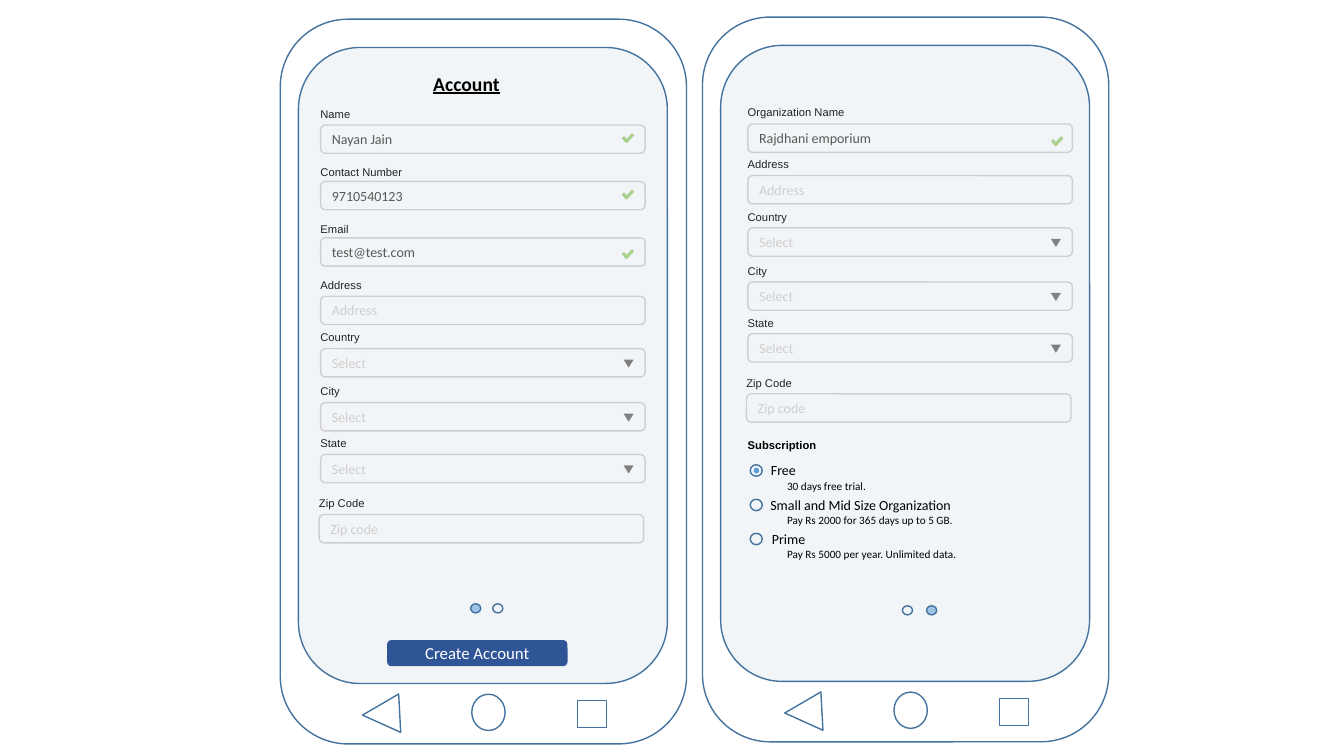
from dataclasses import dataclass

from lxml import etree
from pptx import Presentation
from pptx.dml.color import RGBColor
from pptx.enum.shapes import MSO_CONNECTOR, MSO_SHAPE
from pptx.enum.text import MSO_ANCHOR, MSO_AUTO_SIZE, PP_ALIGN
from pptx.oxml.ns import qn
from pptx.util import Pt

OVAL, RECT, ROUND = MSO_SHAPE.OVAL, MSO_SHAPE.RECTANGLE, MSO_SHAPE.ROUNDED_RECTANGLE
MERGE, RADIO = MSO_SHAPE.FLOWCHART_MERGE, MSO_SHAPE.FLOWCHART_CONNECTOR
TRIANGLE = MSO_SHAPE.ISOSCELES_TRIANGLE
STRAIGHT = MSO_CONNECTOR.STRAIGHT
MIDDLE, TOP = MSO_ANCHOR.MIDDLE, MSO_ANCHOR.TOP
LEFT, CENTER = PP_ALIGN.LEFT, PP_ALIGN.CENTER
FIT = MSO_AUTO_SIZE.SHAPE_TO_FIT_TEXT


@dataclass(frozen=True)
class Theme:
    edge: str = "43739E"
    screen: str = "F2F5F7"
    border: str = "D0CECE"
    entry: str = "595959"
    label: str = "222222"
    black: str = "000000"
    white: str = "FFFFFF"
    button: str = "2F5597"
    tick: str = "A9D18E"
    arrow: str = "808080"
    radio: str = "5B9BD5"
    dot: str = "9DC3E6"
    head: str = "Arial"
    body: str = "Calibri"
    small: int = 8
    text: int = 10
    action: int = 12
    title: int = 14


class Mockup:
    def __init__(self, slide, theme):
        self.slide = slide
        self.theme = theme

    def shape(self, kind, x, y, w, h, fill=None, line=None, turn=0):
        item = self.slide.shapes.add_shape(kind, Pt(x), Pt(y), Pt(w), Pt(h))
        item.shadow.inherit = False
        item.rotation = turn
        if fill:
            item.fill.solid()
            item.fill.fore_color.rgb = RGBColor.from_string(fill)
        else:
            item.fill.background()
        if line:
            item.line.color.rgb = RGBColor.from_string(line)
            item.line.width = Pt(1)
        else:
            item.line.fill.background()
        return item

    def letter(self, item, text, size, color, face=None, align=LEFT, anchor=MIDDLE):
        """Put one styled line of text into a shape and return its font."""
        frame = item.text_frame
        frame.text = text
        frame.vertical_anchor = anchor
        para = frame.paragraphs[0]
        para.alignment = align
        font = para.runs[0].font
        font.name = face or self.theme.body
        font.size = Pt(size)
        font.color.rgb = RGBColor.from_string(color)
        return font

    def label(self, text, x, y, w, h, size, color, face=None):
        box = self.slide.shapes.add_textbox(Pt(x), Pt(y), Pt(w), Pt(h))
        font = self.letter(box, text, size, color, face, anchor=TOP)
        box.text_frame.word_wrap = False
        box.text_frame.auto_size = FIT
        return font

    def stroke(self, x1, y1, x2, y2):
        line = self.slide.shapes.add_connector(STRAIGHT, Pt(x1), Pt(y1), Pt(x2), Pt(y2))
        line.line.color.rgb = RGBColor.from_string(self.theme.tick)
        line.line.width = Pt(2.25)
        props = line._element.find(qn("p:spPr"))
        etree.SubElement(props, qn("a:effectLst"))

    def tick(self, x, y):
        self.stroke(x, y, x + 2.9, y + 3.6)
        self.stroke(x + 2.2, y + 3.4, x + 7.2, y - 2)

    def phone(self, x, y):
        t = self.theme
        self.shape(OVAL, x + 136.8, y + 482.2, 23.8, 25.9, line=t.edge)
        self.shape(RECT, x + 212.2, y + 486.7, 20.9, 19.4, line=t.edge)
        self.shape(MERGE, x + 58.3, y + 483.1, 27.4, 26.6, line=t.edge, turn=87)
        self.shape(ROUND, x, y, 290.2, 517.7, line=t.edge)
        self.shape(ROUND, x + 13, y + 20.2, 263.5, 454.3, t.screen, t.edge)

    def field(self, name, width, value, x, y, color, gap=16.3):
        """Draw an input box with its caption `gap` above the box."""
        t = self.theme
        self.label(name, x - 7.2, y - gap, width, 17.3, t.small, t.label, t.head)
        box = self.shape(ROUND, x, y, 231.8, 20.2, line=t.border)
        self.letter(box, value, t.text, color)

    def filled(self, name, width, value, x, y, gap, drop, shift=0):
        """Draw a completed field; its tick sits `drop` below the box top."""
        self.field(name, width, value, x, y, self.theme.entry, gap)
        self.tick(x + 216 + shift, y + drop)

    def address(self, x, y):
        """Draw the empty address fields that both phones share."""
        for name, width, value, down, shift in ADDRESS:
            self.field(name, width, value, x + shift, y + down, self.theme.border)
            if value == "Select":
                self.shape(TRIANGLE, x + 216.4, y + down + 7.8, 7.2, 5.8,
                           self.theme.arrow, turn=180)

    def plan(self, name, width, note, span, y, shift):
        t = self.theme
        self.shape(RADIO, 535.9, y + 5.8, 8.6, 8.2, line=t.edge)
        self.label(name, 543.2 + shift, y, width, 19.4, t.text, t.black)
        self.label(note, 555.1, y + 12.5, span, 17.3, t.small, t.black)

    def pager(self, left, y, gap, active):
        for page in range(2):
            fill = self.theme.dot if page == active else None
            self.shape(OVAL, left + page * gap, y, 7.2, 6.5, fill, self.theme.edge)


# caption, caption width, value, distance below the first field, shift in x
ADDRESS = [
    ("Address", 44.6, "Address", 0, 0),
    ("Country", 43.2, "Select", 37.4, 0),
    ("City", 28.1, "Select", 76, 0),
    ("State", 33.8, "Select", 113, 0),
    ("Zip Code", 47.5, "Zip code", 155.9, -1),
]
# caption, caption width, value, left, top, caption gap, tick drop, tick shift
FILLED = [
    ("Name", 36, "Nayan Jain", 229, 89.3, 15.9, 8.6, 0),
    ("Contact Number", 73.4, "9710540123", 229, 129.6, 15.1, 8.6, 0),
    ("Email", 34.6, "test@test.com", 229, 169.9, 14.4, 10.8, 0),
    ("Organization Name", 84.2, "Rajdhani emporium", 534.2, 88.6, 16.6, 11.5, 1.4),
]
# name, name width, note, note width, top, shift in x
PLANS = [
    ("Free", 33.1, "30 days free trial.", 71.3, 326.2, 0.4),
    ("Small and Mid Size Organization", 146.2,
     "Pay Rs 2000 for 365 days up to 5 GB.", 133.9, 350.8, 0),
    ("Prime", 38.9, "Pay Rs 5000 per year. Unlimited data.", 139, 375.1, 1.1),
]


def main():
    deck = Presentation()
    deck.slide_width, deck.slide_height = Pt(960), Pt(540)
    theme = Theme()
    mock = Mockup(deck.slides.add_slide(deck.slide_layouts[6]), theme)

    mock.phone(501.8, 12.2)
    mock.phone(200.2, 13.7)
    title = mock.label("Account", 302.4, 47.5, 62.6, 24.5, theme.title, theme.black)
    title.bold = title.underline = True

    for row in FILLED:
        mock.filled(*row)
    mock.address(229, 211.6)
    mock.address(534.2, 125.4)

    head = mock.label("Subscription", 527, 309.6, 64.1, 17.3,
                      theme.small, theme.black, theme.head)
    head.bold = True
    for row in PLANS:
        mock.plan(*row)
    mock.shape(RADIO, 538.4, 334.1, 3.8, 4.1, theme.radio)

    mock.pager(336.2, 431.3, 15.8, 0)
    mock.pager(644.6, 432.7, 17.3, 1)
    button = mock.shape(ROUND, 276.5, 457.2, 128.9, 18.7, theme.button)
    mock.letter(button, "Create Account", theme.action, theme.white, align=CENTER)

    deck.save("out.pptx")


if __name__ == "__main__":
    main()
